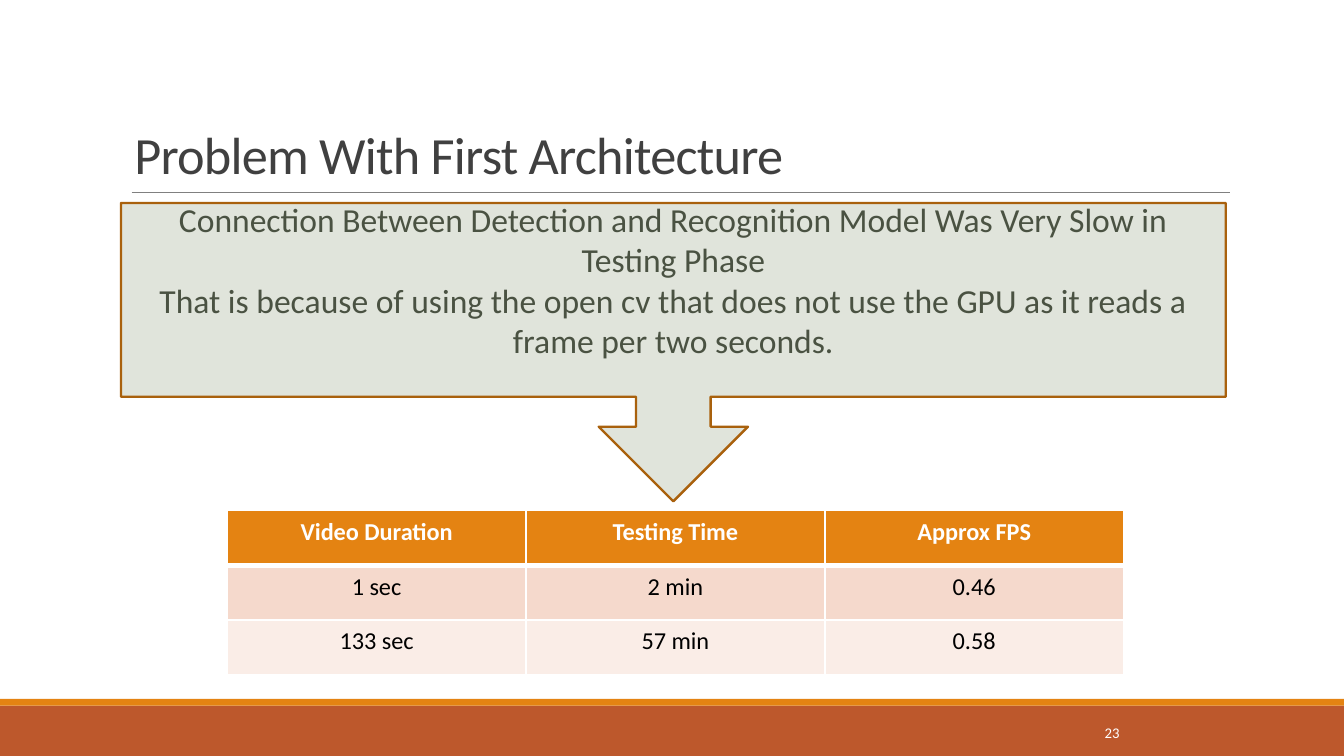
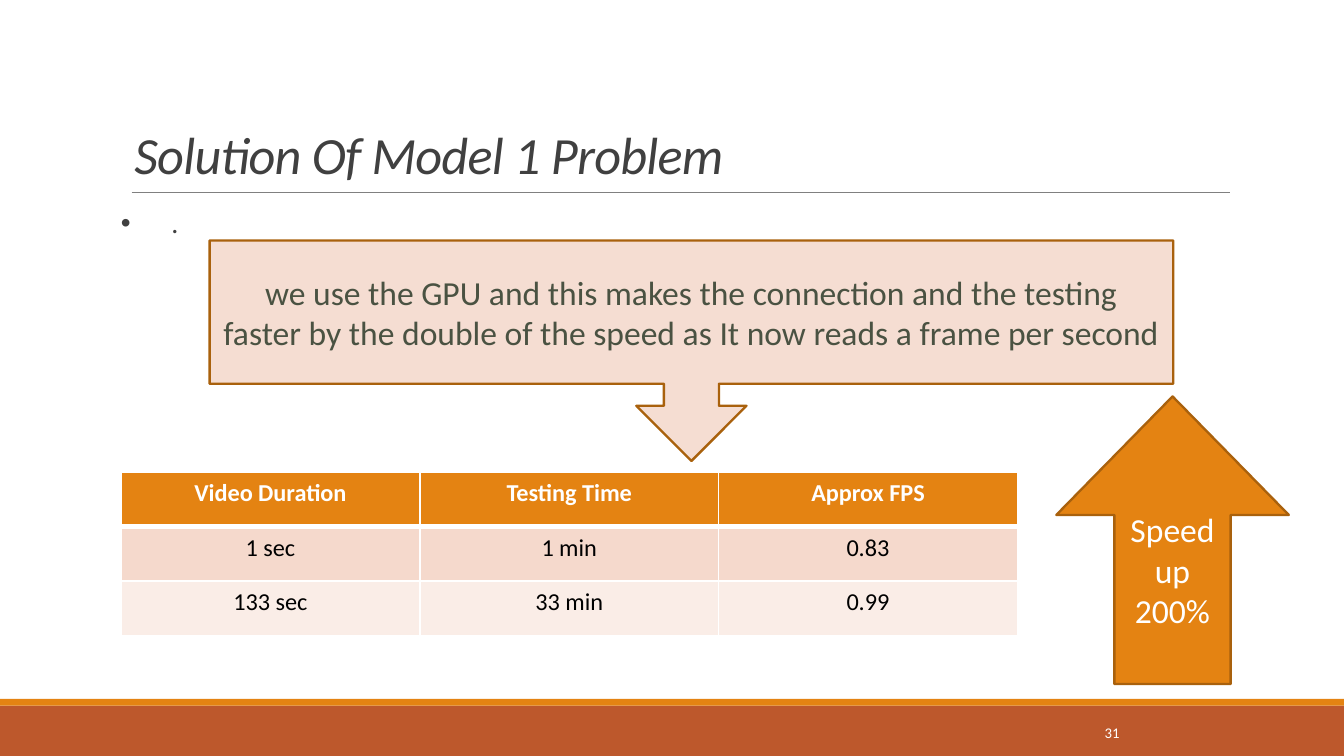
import pptx
import pptx.util
import pptx.dml.color
import pptx.enum.text
import pptx.enum.shapes
import pptx.oxml
import pptx.oxml.ns
from lxml import etree

WIDE = 10
HIGH = WIDE * 9 / 16
LEFT, SPAN = 0.9, 8.25
HEAD = ("Video Duration", "Testing Time", "Approx FPS")

SLIDES = [
    {
        "title": "Problem With First Architecture",
        "slant": False,
        "page": "23",
        "body": None,
        "callout": {
            "lines": [
                "Connection Between Detection and Recognition Model Was Very Slow in Testing Phase",
                "That is because of using the open cv that does not use the GPU "
                "as it reads a frame per two seconds.",
            ],
            "box": (LEFT, 1.51, 8.22, 2.22),
            "fill": "sage",
            "foot": 0.35,
        },
        "table": {
            "rows": [("1 sec", "2 min", "0.46"), ("133 sec", "57 min", "0.58")],
            "spot": (1.69, 3.8),
        },
        "arrow": None,
    },
    {
        "title": "Solution Of Model 1 Problem",
        "slant": True,
        "page": "31",
        "body": ".",
        "callout": {
            "lines": [
                "we use the GPU and this makes the connection and the testing "
                "faster by the double of the speed as It now reads a frame per second",
            ],
            "box": (1.56, 1.79, 7.17, 1.64),
            "fill": "blush",
            "foot": 0.05,
        },
        "table": {
            "rows": [("1 sec", "1 min", "0.83"), ("133 sec", "33 min", "0.99")],
            "spot": (LEFT, 3.51),
        },
        "arrow": {"lines": ["Speed up 200%"], "box": (7.86, 2.95, 1.73, 2.14)},
    },
]


class Theme:
    font = "Calibri"
    colors = {
        "rust": "BD582C", "orange": "E48312", "brown": "A9610D",
        "gray": "808080", "ink": "404040", "moss": "4A5242",
        "sage": "E0E4DB", "blush": "F5DDD2", "white": "FFFFFF",
        "black": "000000", "rose": "F5D9CC", "pale": "FAEDE7",
    }
    sizes = {"title": 28, "note": 18, "body": 15, "cell": 13, "page": 7.9}


ALIGN = pptx.enum.text.PP_ALIGN
ANCHOR = pptx.enum.text.MSO_ANCHOR
SHAPE = pptx.enum.shapes.MSO_SHAPE
INCH = pptx.util.Inches
POINT = pptx.util.Pt


def tint(name):
    return pptx.dml.color.RGBColor.from_string(Theme.colors[name])


def apply(target, **values):
    for name, value in values.items():
        setattr(target, name, value)


def place(shape, box):
    sides = ("left", "top", "width", "height")
    apply(shape, **{side: INCH(size) for side, size in zip(sides, box)})


def write(frame, lines, size, color, align=ALIGN.LEFT, font=None, **layout):
    """Fill a text frame, one paragraph a line; layout goes to each paragraph."""
    frame.text = "\n".join(lines)
    for para in frame.paragraphs:
        apply(para, alignment=align, **layout)
        for run in para.runs:
            apply(run.font, name=Theme.font, size=POINT(Theme.sizes[size]), **(font or {}))
            run.font.color.rgb = tint(color)


def block(slide, kind, box, fill, edge=None):
    shape = slide.shapes.add_shape(kind, *map(INCH, box))
    shape.shadow.inherit = False
    shape.fill.solid()
    shape.fill.fore_color.rgb = tint(fill)
    if edge:
        shape.line.color.rgb = tint(edge)
        shape.line.width = POINT(1.25)
    else:
        shape.line.fill.background()
    return shape


def add_base(slide, page):
    """Draw the bands, the title rule and the page number."""
    block(slide, SHAPE.RECTANGLE, (0, 5.25, WIDE, HIGH - 5.25), "rust")
    block(slide, SHAPE.RECTANGLE, (0, 5.2, WIDE, 0.05), "orange")
    rule = slide.shapes.add_connector(
        pptx.enum.shapes.MSO_CONNECTOR.STRAIGHT, *map(INCH, (0.98, 1.43, 9.15, 1.43)))
    rule.line.color.rgb = tint("gray")
    rule.line.width = POINT(0.5)
    etree.SubElement(rule._element.spPr, pptx.oxml.ns.qn("a:effectLst"))
    label = slide.shapes.add_textbox(*map(INCH, (8.12, 5.3, 1.08, 0.3)))
    apply(label.text_frame, word_wrap=True, vertical_anchor=ANCHOR.MIDDLE)
    write(label.text_frame, [page], "page", "white")


def add_title(slide, text, slant):
    title = slide.shapes.title
    place(title, (LEFT, 0.24, SPAN, 1.19))
    frame = title.text_frame
    apply(frame, vertical_anchor=ANCHOR.BOTTOM, word_wrap=True,
          auto_size=pptx.enum.text.MSO_AUTO_SIZE.NONE)
    write(frame, [text], "title", "ink", font={"italic": slant}, line_spacing=0.85)
    for run in frame.paragraphs[0].runs:
        run.font._element.set("spc", "-40")


def add_body(slide, text):
    body = slide.placeholders[1]
    place(body, (LEFT, 1.51, SPAN, 3.3))
    frame = body.text_frame
    apply(frame, margin_left=0, margin_right=0, vertical_anchor=ANCHOR.TOP,
          auto_size=pptx.enum.text.MSO_AUTO_SIZE.NONE)
    props = frame.paragraphs[0]._p.get_or_add_pPr()
    props.set("marL", str(INCH(0.07)))
    props.set("indent", str(INCH(-0.07)))
    etree.SubElement(props, pptx.oxml.ns.qn("a:buChar"), char=" ")
    write(frame, [text], "body", "ink", line_spacing=0.9,
          space_before=POINT(0), space_after=POINT(1.5))


def add_note(slide, kind, lines, box, fill, color="moss", foot=0.05):
    shape = block(slide, kind, box, fill, "brown")
    apply(shape.text_frame, word_wrap=True, vertical_anchor=ANCHOR.MIDDLE,
          margin_bottom=INCH(foot))
    write(shape.text_frame, lines, "note", color, ALIGN.CENTER)
    return shape


def add_edges(cell, base):
    """Rule a cell in white; base is the width of its lower edge."""
    props = cell._tc.get_or_add_tcPr()
    for spot, (side, width) in enumerate((("L", 1), ("R", 1), ("T", 1), ("B", base))):
        props.insert(spot, pptx.oxml.parse_xml(
            f'<a:ln{side} {pptx.oxml.ns.nsdecls("a")} w="{POINT(width)}"><a:solidFill>'
            f'<a:srgbClr val="{Theme.colors["white"]}"/></a:solidFill></a:ln{side}>'))


def add_table(slide, rows, spot):
    rows = [HEAD, *rows]
    size = (6.67, 1.22)
    table = slide.shapes.add_table(len(rows), len(HEAD), *map(INCH, spot + size)).table
    for col in table.columns:
        col.width = INCH(size[0] / len(HEAD))
    fills = ("orange", "rose", "pale")
    for i, row in enumerate(rows):
        table.rows[i].height = INCH(size[1] / len(rows))
        head = i == 0
        for j, text in enumerate(row):
            cell = table.cell(i, j)
            cell.fill.solid()
            cell.fill.fore_color.rgb = tint(fills[i])
            write(cell.text_frame, [text], "cell", "white" if head else "black",
                  ALIGN.CENTER, {"bold": head})
            add_edges(cell, 3 if head else 1)


def main():
    deck = pptx.Presentation()
    apply(deck, slide_width=INCH(WIDE), slide_height=INCH(HIGH))
    for data in SLIDES:
        layout = "Title and Content" if data["body"] else "Title Only"
        slide = deck.slides.add_slide(deck.slide_layouts.get_by_name(layout))
        add_base(slide, data["page"])
        add_title(slide, data["title"], data["slant"])
        if data["body"]:
            add_body(slide, data["body"])
        add_note(slide, SHAPE.DOWN_ARROW_CALLOUT, **data["callout"])
        add_table(slide, **data["table"])
        if data["arrow"]:
            arrow = add_note(slide, SHAPE.UP_ARROW, fill="orange", color="white",
                             **data["arrow"])
            arrow.adjustments[1] = 0.51
    deck.save("out.pptx")


if __name__ == "__main__":
    main()
